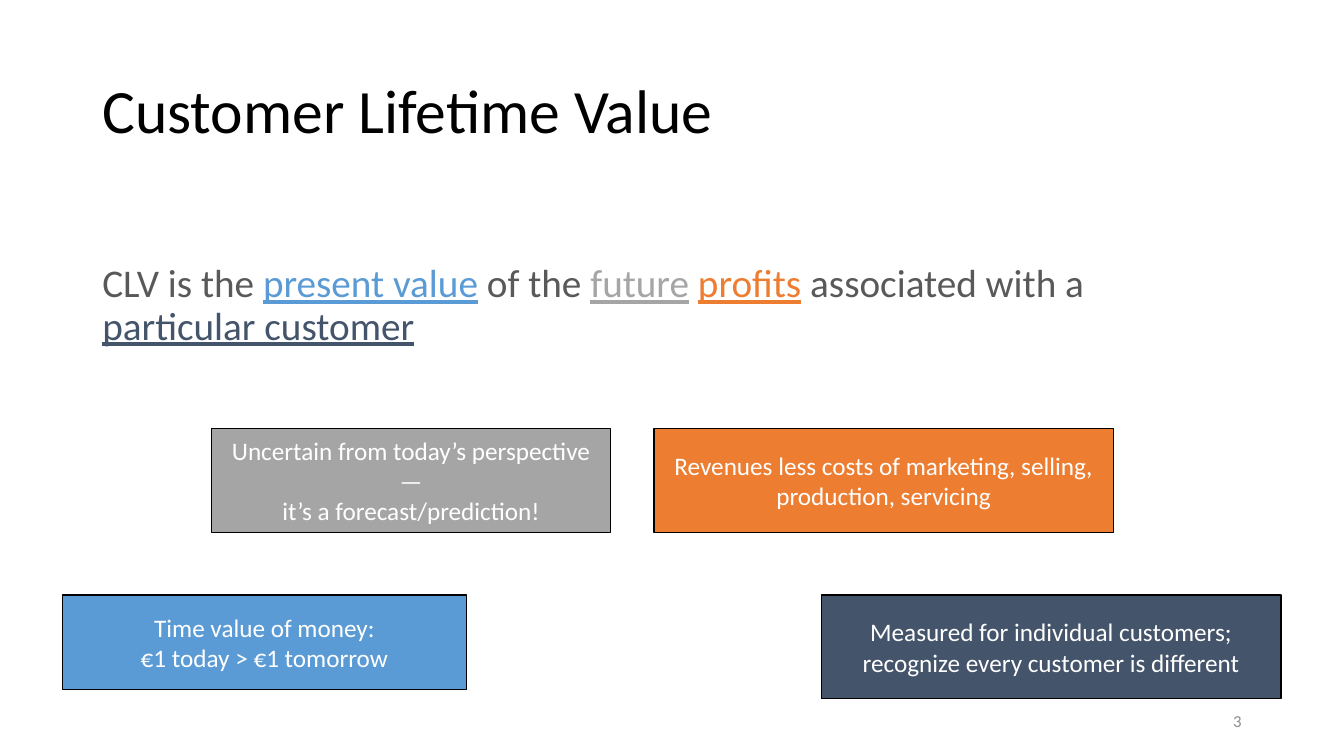
from pptx import Presentation
from pptx.dml.color import RGBColor
from pptx.enum.shapes import MSO_SHAPE as Shape
from pptx.enum.text import MSO_ANCHOR as Anchor, PP_ALIGN as Align
from pptx.util import Cm, Pt

HUES = {
    "black": "000000", "white": "FFFFFF", "text": "595959", "page": "8C8C8C",
    "blue": "5B9BD5", "gray": "A5A5A5", "orange": "ED7D31", "navy": "44546A",
}
TITLE = "Customer Lifetime Value"
PAGE = "3"
CLAIM = [
    ("CLV is the ", "text"), ("present value", "blue"), (" of the ", "text"),
    ("future", "gray"), (" ", "text"), ("profits", "orange"),
    (" associated with a ", "text"), ("particular customer", "navy"),
]
NOTES = [
    ("blue", (1.57, 14.99, 10.19, 2.39),
     ["Time value of money:", "€1 today > €1 tomorrow"]),
    ("gray", (5.33, 10.8, 10.06, 2.62),
     ["Uncertain from today’s perspective—", "it’s a forecast/prediction!"]),
    ("orange", (16.48, 10.8, 11.58, 2.62),
     ["Revenues less costs of marketing, selling, production, servicing"]),
    ("navy", (20.7, 14.99, 11.58, 2.62),
     ["Measured for individual customers; recognize every customer is different"]),
]


def hue(name):
    return RGBColor.from_string(HUES[name])


def style(para, size, color, align=Align.LEFT):
    para.alignment = align
    para.font.name = "Calibri"
    para.font.size = Pt(size)
    para.font.color.rgb = hue(color)


def add_text(slide, place, anchor=Anchor.MIDDLE):
    frame = slide.shapes.add_textbox(*map(Cm, place)).text_frame
    frame.word_wrap = True
    frame.vertical_anchor = anchor
    return frame


def add_claim(slide):
    frame = add_text(slide, (2.33, 5.08, 29.21, 12.09), Anchor.TOP)
    frame.margin_top = Cm(1.57)
    para = frame.paragraphs[0]
    style(para, 28, "text")
    para.line_spacing = 0.9
    for words, color in CLAIM:
        run = para.add_run()
        run.text = words
        run.font.color.rgb = hue(color)
        run.font.underline = color != "text"


def add_note(slide, color, place, lines):
    box = slide.shapes.add_shape(Shape.RECTANGLE, *map(Cm, place))
    box.shadow.inherit = False
    box.fill.solid()
    box.fill.fore_color.rgb = hue(color)
    box.line.color.rgb = hue("black")
    box.line.width = Pt(1)
    frame = box.text_frame
    frame.word_wrap = True
    frame.vertical_anchor = Anchor.MIDDLE
    frame.text = "\n".join(lines)
    for para in frame.paragraphs:
        style(para, 18, "white", Align.CENTER)


def main():
    deck = Presentation()
    deck.slide_width, deck.slide_height = Cm(33.87), Cm(19.05)
    slide = deck.slides.add_slide(deck.slide_layouts[6])

    add_claim(slide)

    page = add_text(slide, (23.92, 17.66, 7.62, 1.01))
    page.text = PAGE
    style(page.paragraphs[0], 12, "page", Align.RIGHT)

    title = add_text(slide, (2.33, 1.01, 29.21, 3.68))
    title.text = TITLE
    style(title.paragraphs[0], 44, "black")
    title.paragraphs[0].line_spacing = 0.9

    for note in NOTES:
        add_note(slide, *note)
    deck.save("out.pptx")


if __name__ == "__main__":
    main()
